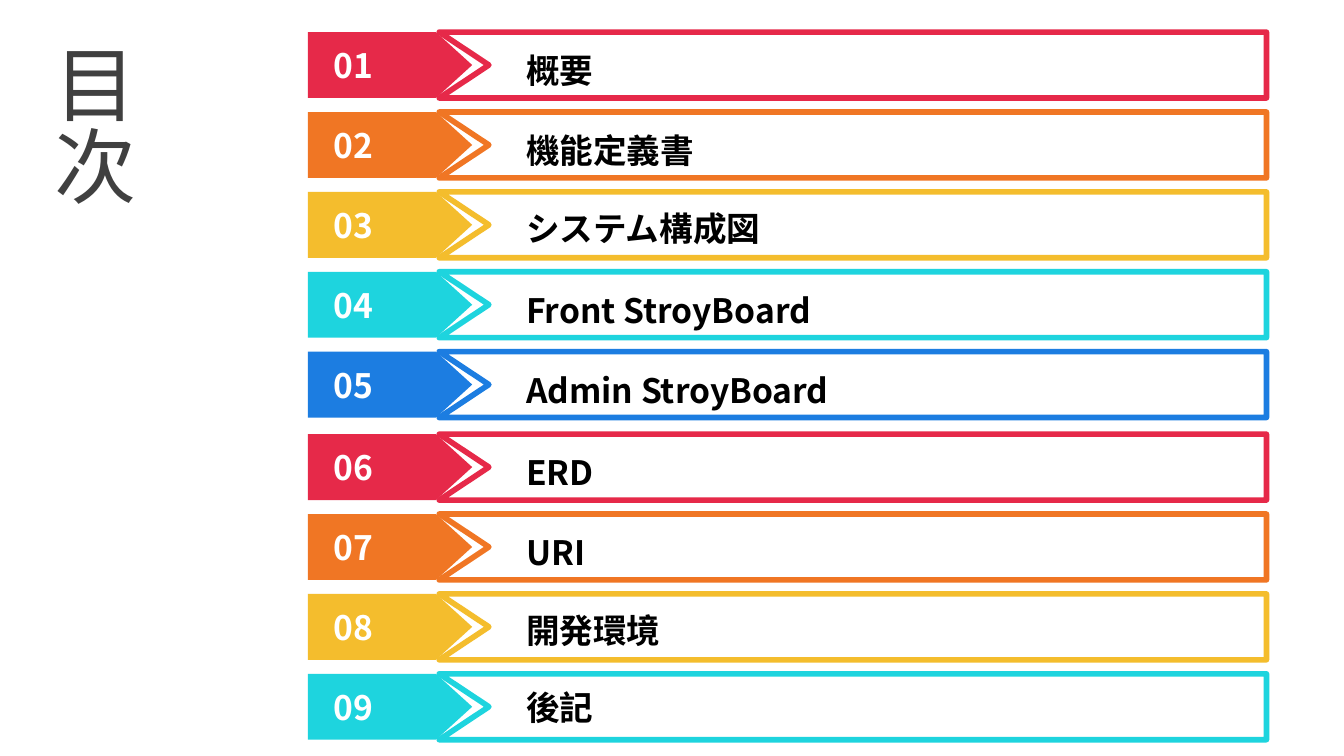
from dataclasses import dataclass

from lxml.etree import SubElement
from pptx import Presentation
from pptx.dml.color import RGBColor
from pptx.enum.shapes import MSO_SHAPE
from pptx.enum.text import MSO_ANCHOR, MSO_AUTO_SIZE, PP_ALIGN
from pptx.oxml.ns import qn
from pptx.util import Pt


@dataclass(frozen=True)
class Theme:
    font: str = "Noto Sans CJK JP"
    title_size: float = 44
    entry_size: float = 18
    title_color: str = "404040"
    text_color: str = "000000"
    white: str = "FFFFFF"
    accents: tuple = ("E62949", "F07624", "F4BD2D", "1ED4DE", "1C7DE1")


@dataclass(frozen=True)
class Box:
    left: float
    top: float
    width: float
    height: float

    def inner(self, left, top, width, height):
        return Box(self.left + left, self.top + top, width, height)

    def lengths(self):
        return Pt(self.left), Pt(self.top), Pt(self.width), Pt(self.height)


@dataclass(frozen=True)
class Entry:
    label: str
    label_top: float
    label_width: float = 381.6


THEME = Theme()
ROW_PITCH = 42.8
BLOCK_SIZE = 5
BLOCK_GAP = 0.4 + 0.2 * BLOCK_SIZE
ENTRIES = (
    Entry("概要", 5.9),
    Entry("機能定義書", 6.3),
    Entry("システム構成図", 5.2),
    Entry("Front StroyBoard", 6.3),
    Entry("Admin StroyBoard", 6.3),
    Entry("ERD", 6),
    Entry("URI", 6.3),
    Entry("開発環境", 5.2, 102.2),
    Entry("後記", 3.6),
)


def color(value):
    return RGBColor.from_string(value)


def write_text(text_frame, text, size, text_color, bold):
    text_frame.text = text
    paragraph = text_frame.paragraphs[0]
    paragraph.alignment = PP_ALIGN.LEFT
    font = paragraph.font
    font.name = THEME.font
    font.size = Pt(size)
    font.bold = bold
    font.color.rgb = color(text_color)
    properties = paragraph._p.pPr.find(qn("a:defRPr"))
    SubElement(properties, qn("a:ea")).set("typeface", THEME.font)


def add_title(slide, box, text):
    title = slide.shapes.title
    title.left, title.top, title.width, title.height = box.lengths()
    text_frame = title.text_frame
    text_frame.vertical_anchor = MSO_ANCHOR.MIDDLE
    text_frame._txBody.bodyPr.set("vert", "eaVert")
    write_text(text_frame, text, THEME.title_size, THEME.title_color, False)


def add_text_box(shapes, box, text, text_color):
    text_frame = shapes.add_textbox(*box.lengths()).text_frame
    text_frame.word_wrap = True
    text_frame.auto_size = MSO_AUTO_SIZE.SHAPE_TO_FIT_TEXT
    write_text(text_frame, text, THEME.entry_size, text_color, True)
    return text_frame


def add_number_tag(shapes, box, accent):
    tag = shapes.add_shape(MSO_SHAPE.PENTAGON, *box.lengths())
    tag.adjustments[0] = 0.55
    tag.shadow.inherit = False
    tag.fill.solid()
    tag.fill.fore_color.rgb = color(accent)
    tag.line.fill.background()


def add_notched_frame(shapes, box, accent):
    right, bottom = box.left + box.width, box.top + box.height
    corners = (
        (right, box.top),
        (right, bottom),
        (box.left, bottom),
        (box.left + 26.6, box.top + box.height / 2),
    )
    builder = shapes.build_freeform(Pt(box.left), Pt(box.top))
    builder.add_line_segments([(Pt(x), Pt(y)) for x, y in corners], close=True)
    frame = builder.convert_to_shape()
    frame.shadow.inherit = False
    frame.fill.solid()
    frame.fill.fore_color.rgb = color(THEME.white)
    frame.line.color.rgb = color(accent)
    frame.line.width = Pt(3)
    SubElement(frame.line._ln, qn("a:round"))


def add_entry(slide, box, number, entry, accent):
    shapes = slide.shapes.add_group_shape().shapes
    add_number_tag(shapes, box.inner(0, 0, 88, box.height), accent)
    add_notched_frame(shapes, box.inner(70.3, 0, box.width - 70.3, box.height), accent)
    number_frame = add_text_box(
        shapes, box.inner(6.6, 7, 47.5, 21.6), f"{number:02}", THEME.white
    )
    number_frame.vertical_anchor = MSO_ANCHOR.MIDDLE
    number_frame.margin_top = number_frame.margin_bottom = 0
    label_box = box.inner(109.8, entry.label_top, entry.label_width, 28.8)
    add_text_box(shapes, label_box, entry.label, THEME.text_color)


def add_contents(slide, box):
    for index, entry in enumerate(ENTRIES):
        top = index * ROW_PITCH + index // BLOCK_SIZE * BLOCK_GAP
        accent = THEME.accents[index % len(THEME.accents)]
        row = box.inner(0, top, box.width, 35.3)
        add_entry(slide, row, index + 1, entry, accent)


def main():
    presentation = Presentation()
    presentation.slide_width = Pt(720)
    presentation.slide_height = Pt(405)
    slide = presentation.slides.add_slide(presentation.slide_layouts[5])
    add_title(slide, Box(7.2, 19.4, 85, 103.7), "目次")
    add_contents(slide, Box(165, 17.2, 513.5, 378.2))
    presentation.save("out.pptx")


if __name__ == "__main__":
    main()
